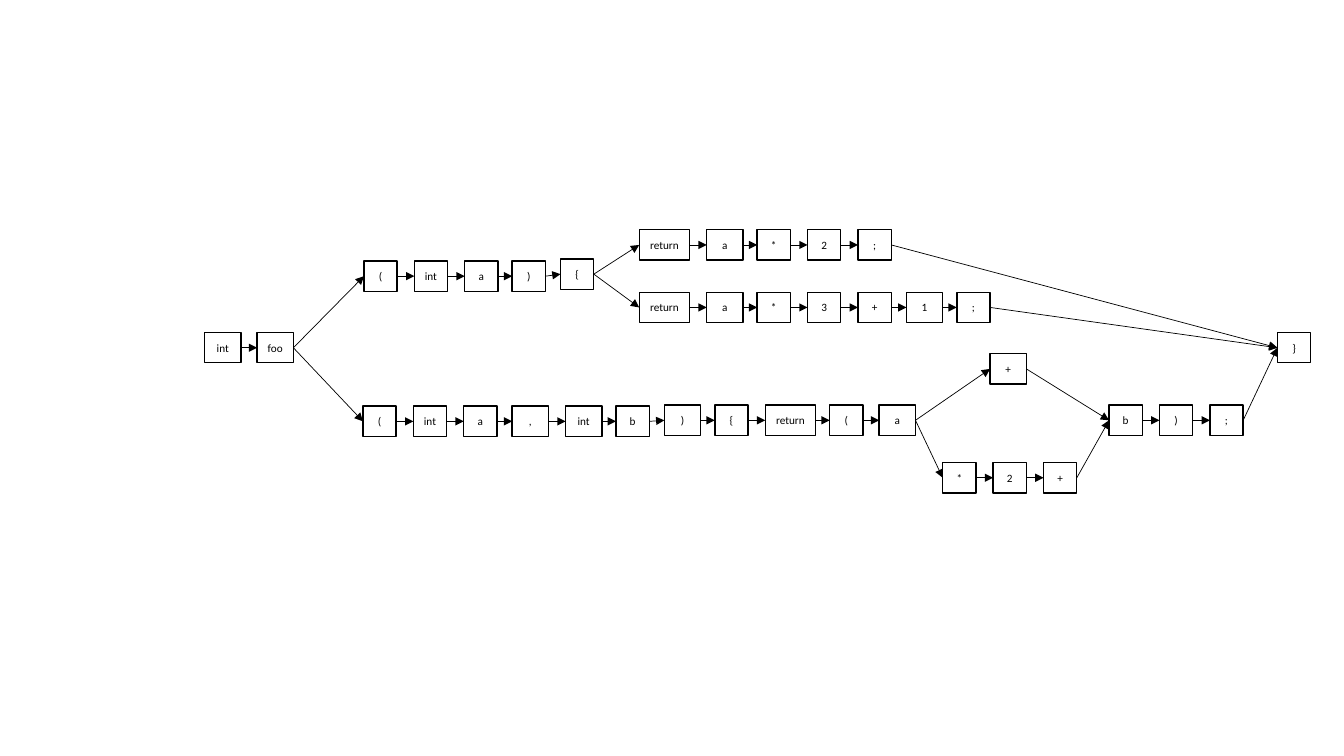
from itertools import pairwise
from pptx import Presentation
from pptx.dml.color import RGBColor
from pptx.enum.shapes import MSO_CONNECTOR, MSO_SHAPE
from pptx.enum.text import MSO_ANCHOR, PP_ALIGN
from pptx.oxml.ns import qn
from pptx.util import Inches, Pt
from lxml.etree import SubElement

S, M, L = 0.33, 0.36, 0.5  # box widths
# chain: (top, [(token, left, width), ...])
CHAINS = {
    "name": (3.3, [("int", 2.03, M), ("foo", 2.55, M)]),
    "one arg": (2.59, [("(", 3.61, S), ("int", 4.11, S), ("a", 4.61, S),
                       (")", 5.08, S)]),
    "open": (2.57, [("{", 5.56, S)]),
    "double": (2.28, [("return", 6.34, L), ("a", 7.01, M), ("*", 7.51, S),
                      ("2", 8.01, S), (";", 8.51, S)]),
    "triple": (2.9, [("return", 6.34, L), ("a", 7.01, M), ("*", 7.51, S),
                     ("3", 8.01, S), ("+", 8.51, S), ("1", 8.99, M),
                     (";", 9.49, S)]),
    "two args": (4.03, [("(", 3.6, S), ("int", 4.1, S), ("a", 4.6, S),
                        (",", 5.08, M), ("int", 5.61, M), ("b", 6.11, S)]),
    "body": (4.02, [(")", 6.59, M), ("{", 7.09, S), ("return", 7.59, L),
                    ("(", 8.23, S), ("a", 8.72, M)]),
    "plus": (3.51, [("+", 9.82, M)]),
    "times": (4.59, [("*", 9.35, S), ("2", 9.85, S), ("+", 10.35, S)]),
    "tail": (4.02, [("b", 11, S), (")", 11.5, S), (";", 12, S)]),
    "close": (3.3, [("}", 12.67, S)]),
}
# chain -> chains that may follow it
NEXT = {
    "name": ["one arg", "two args"],
    "one arg": ["open"],
    "open": ["double", "triple"],
    "double": ["close"],
    "triple": ["close"],
    "two args": ["body"],
    "body": ["plus", "times"],
    "plus": ["tail"],
    "times": ["tail"],
    "tail": ["close"],
}
THEME = {
    "ink": RGBColor(0, 0, 0),
    "paper": RGBColor(255, 255, 255),
    "font": {"name": "Calibri", "size": Pt(8)},
    "frame": {"margin_left": 0, "margin_right": 0, "margin_top": 0,
              "margin_bottom": 0, "word_wrap": False,
              "vertical_anchor": MSO_ANCHOR.MIDDLE},
    "box line": Pt(1),
    "arrow line": Pt(0.5),
}
HEIGHT = 0.3
RIGHT, LEFT = 3, 1  # connection sites


def apply(target, values):
    for key, value in values.items():
        setattr(target, key, value)


def ink(line, width):
    line.color.rgb = THEME["ink"]
    line.width = width


def add_box(slide, text, left, top, width):
    box = slide.shapes.add_shape(MSO_SHAPE.RECTANGLE, Inches(left),
                                 Inches(top), Inches(width), Inches(HEIGHT))
    box.shadow.inherit = False
    box.fill.solid()
    box.fill.fore_color.rgb = THEME["paper"]
    ink(box.line, THEME["box line"])
    apply(box.text_frame, THEME["frame"])
    para = box.text_frame.paragraphs[0]
    para.alignment = PP_ALIGN.CENTER
    run = para.add_run()
    run.text = text
    apply(run.font, THEME["font"])
    run.font.color.rgb = THEME["ink"]
    return box


def add_arrow(slide, start, end):
    arrow = slide.shapes.add_connector(MSO_CONNECTOR.STRAIGHT, 0, 0, 0, 0)
    arrow.begin_connect(start, RIGHT)
    arrow.end_connect(end, LEFT)
    ink(arrow.line, THEME["arrow line"])
    SubElement(arrow.line._get_or_add_ln(), qn("a:tailEnd"), type="triangle")
    SubElement(arrow._element.spPr, qn("a:effectLst"))


def main():
    deck = Presentation()
    apply(deck, {"slide_width": Inches(13.33), "slide_height": Inches(7.5)})
    slide = deck.slides.add_slide(deck.slide_layouts[6])
    boxes = {
        name: [add_box(slide, text, left, top, width)
               for text, left, width in tokens]
        for name, (top, tokens) in CHAINS.items()
    }
    for chain in boxes.values():
        for start, end in pairwise(chain):
            add_arrow(slide, start, end)
    for name, heirs in NEXT.items():
        for heir in heirs:
            add_arrow(slide, boxes[name][-1], boxes[heir][0])
    deck.save("out.pptx")


if __name__ == "__main__":
    main()
